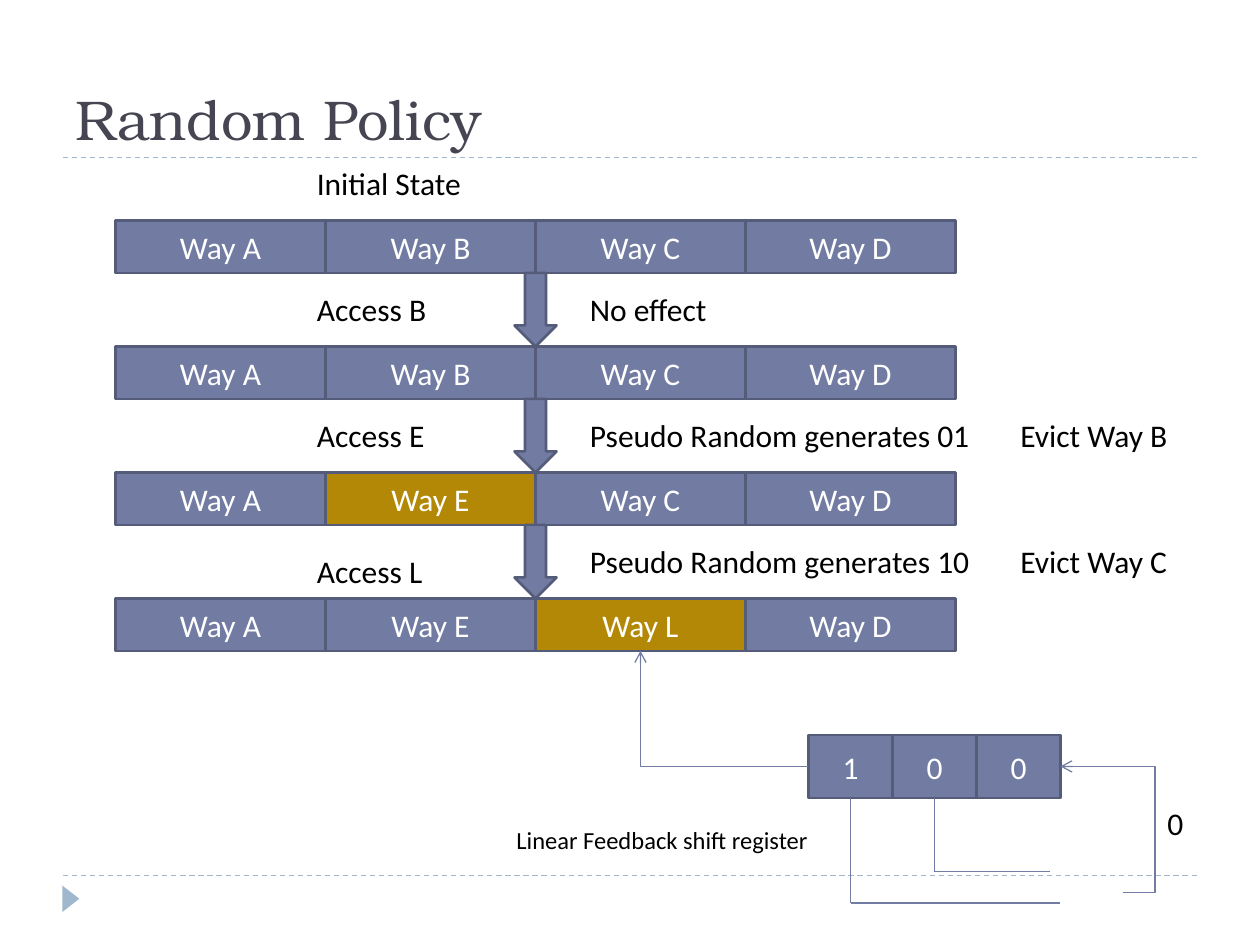
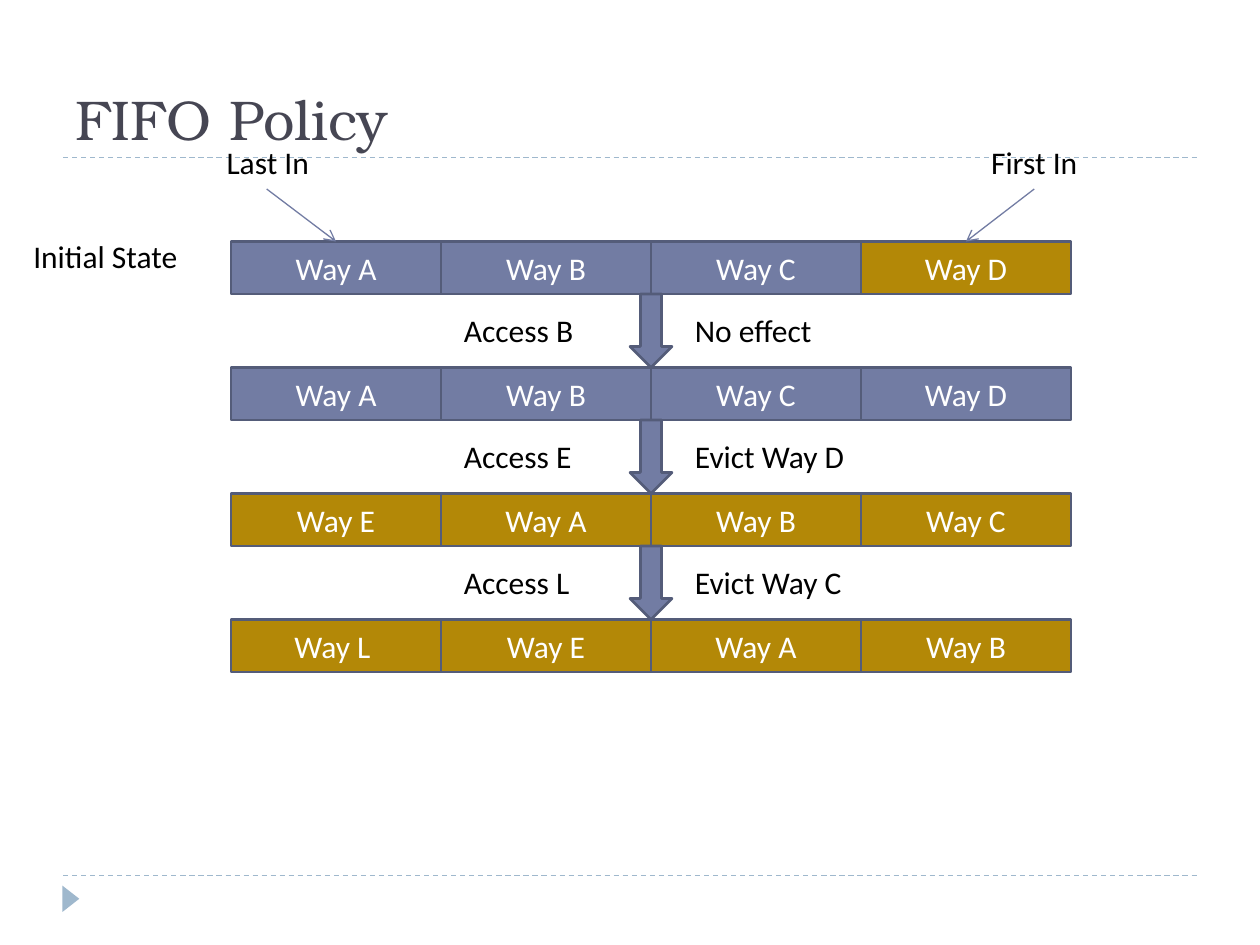
"""Build two slides that compare cache replacement policies."""
import pptx
import pptx.dml.color
import pptx.enum.dml
import pptx.enum.shapes
import pptx.enum.text
import pptx.oxml
import pptx.oxml.ns
import pptx.util

SHAPE = pptx.enum.shapes.MSO_SHAPE
CONNECTOR = pptx.enum.shapes.MSO_CONNECTOR
ALIGN = pptx.enum.text.PP_ALIGN
ANCHOR = pptx.enum.text.MSO_ANCHOR
TOP, LEFT, BOTTOM, RIGHT = range(4)
COLUMNS, ROWS = 120, 90
WAY_W, WAY_H, STEP, ARROW_W = 20, 5, 12, 4


def rgb(value):
    return pptx.dml.color.RGBColor.from_string(value)


def add_xml(parent, tag, **attributes):
    child = pptx.oxml.parse_xml(f"<a:{tag} {pptx.oxml.ns.nsdecls('a')}/>")
    for name, value in attributes.items():
        child.set(name, value)
    parent.append(child)


class Deck:
    blue, edge, gold, pale = "727CA3", "545C79", "B38807", "9FB8CD"
    title_font = {"name": "TeX Gyre Bonum", "size": 32, "color": "464653"}
    label_font = {"name": "Calibri", "size": 18, "color": "000000"}
    cell_font = {**label_font, "color": "FFFFFF"}

    def __init__(self):
        self.prs = pptx.Presentation()
        self.prs.slide_width = pptx.util.Inches(10)
        self.prs.slide_height = pptx.util.Inches(7.5)
        self.s = None

    def grid(self, *lengths):
        units = (self.prs.slide_width / COLUMNS, self.prs.slide_height / ROWS)
        return [round(n * units[i % 2]) for i, n in enumerate(lengths)]

    def slide(self, title):
        self.s = self.prs.slides.add_slide(self.prs.slide_layouts[6])
        for row in (83.4, 15):
            rule = self.line(6, row, 114, row, color=self.pale)
            rule.line.dash_style = pptx.enum.dml.MSO_LINE.DASH
        marker = self.shape(SHAPE.ISOSCELES_TRIANGLE, 5.5, 84.8, 2.5, 1.6, self.pale, None)
        marker.rotation = 90
        tf = self.label(title, 6, 2, 108, 13, self.title_font).text_frame
        tf.auto_size = pptx.enum.text.MSO_AUTO_SIZE.NONE
        tf.vertical_anchor = ANCHOR.BOTTOM

    def fill_text(self, tf, text, font, align):
        tf.word_wrap = True
        p = tf.paragraphs[0]
        p.alignment = align
        r = p.add_run()
        r.text = text
        formats = {"name": font["name"], "size": pptx.util.Pt(font["size"])}
        for name, value in formats.items():
            setattr(r.font, name, value)
        r.font.color.rgb = rgb(font["color"])

    def label(self, text, x, y, w=18, h=4.8, font=label_font, align=ALIGN.LEFT):
        box = self.s.shapes.add_textbox(*self.grid(x, y, w, h))
        box.text_frame.auto_size = pptx.enum.text.MSO_AUTO_SIZE.SHAPE_TO_FIT_TEXT
        self.fill_text(box.text_frame, text, font, align)
        return box

    def shape(self, kind, x, y, w, h, fill=blue, edge=edge):
        sp = self.s.shapes.add_shape(kind, *self.grid(x, y, w, h))
        sp.shadow.inherit = False
        sp.fill.solid()
        sp.fill.fore_color.rgb = rgb(fill)
        if edge:
            sp.line.color.rgb = rgb(edge)
            sp.line.width = pptx.util.Pt(1.5)
        else:
            sp.line.fill.background()
        return sp

    def cell(self, text, x, y, w, h, fill=blue):
        sp = self.shape(SHAPE.RECTANGLE, x, y, w, h, fill)
        sp.text_frame.vertical_anchor = ANCHOR.MIDDLE
        self.fill_text(sp.text_frame, text, self.cell_font, ALIGN.CENTER)
        return sp

    def line(self, x1, y1, x2, y2, begin=None, end=None, arrow=False,
             kind=CONNECTOR.STRAIGHT, color=blue):
        c = self.s.shapes.add_connector(kind, *self.grid(x1, y1, x2, y2))
        c.line.color.rgb = rgb(color)
        c.line.width = pptx.util.Pt(0.75)
        if begin:
            c.begin_connect(*begin)
        if end:
            c.end_connect(*end)
        properties = c.element.spPr
        if arrow:
            add_xml(properties.find(pptx.oxml.ns.qn("a:ln")), "tailEnd", type="arrow")
        add_xml(properties, "effectLst")
        return c

    def elbow(self, *points, preset="bentConnector3", bend=None, **ends):
        c = self.line(*points, arrow=True, kind=CONNECTOR.ELBOW, **ends)
        geometry = c.element.spPr.find(pptx.oxml.ns.qn("a:prstGeom"))
        geometry.set("prst", preset)
        if bend is not None:
            guides = geometry.find(pptx.oxml.ns.qn("a:avLst"))
            add_xml(guides, "gd", name="adj1", fmla=f"val {bend}")

    def states(self, x, y, rows, gold):
        cells = [[self.cell(f"Way {way}", x + j * WAY_W, y + i * STEP, WAY_W, WAY_H,
                            self.gold if (i, j) in gold else self.blue)
                  for j, way in enumerate(ways)] for i, ways in enumerate(rows)]
        arrow_x = x + 2 * WAY_W - ARROW_W / 2
        for i in range(len(rows) - 1):
            self.shape(SHAPE.DOWN_ARROW, arrow_x, y + i * STEP + WAY_H, ARROW_W, STEP - WAY_H)
        return cells


def random_policy(deck):
    deck.slide("Random Policy")
    ways = deck.states(11, 21, ["ABCD", "ABCD", "AECD", "AELD"], {(2, 1), (3, 2)})
    labels = [("Initial State", 15), ("Access B", 27), ("Access E", 39), ("Access L", 52)]
    for text, y in labels:
        deck.label(text, 29, y)
    deck.label("No effect", 55, 27)
    for y, bits, way in ((39, "01", "B"), (51, "10", "C")):
        deck.label(f"Pseudo Random generates {bits}", 55, y, 40)
        deck.label(f"Evict Way {way}", 96, y)

    bits = [deck.cell(bit, 77 + 8 * i, 70, 8, 6) for i, bit in enumerate("100")]
    for bit, x, y, end_x in ((bits[0], 81, 86, 101), (bits[1], 89, 83, 100)):
        deck.line(x, 76, x, y, begin=(bit, BOTTOM))
        deck.line(x, y, end_x, y)
    deck.elbow(107, 85, 101, 73, bend=-50000, end=(bits[2], RIGHT))
    deck.elbow(77, 73, 61, 62, preset="bentConnector2",
               begin=(bits[0], LEFT), end=(ways[3][2], BOTTOM))
    deck.label("Linear Feedback shift register", 48, 78, 31, 4, {**deck.label_font, "size": 14})
    deck.label("0", 110, 76, 3)


def fifo_policy(deck):
    deck.slide("FIFO Policy")
    gold = {(0, 3)} | {(i, j) for i in (2, 3) for j in range(4)}
    ways = deck.states(22, 23, ["ABCD", "ABCD", "EABC", ["L ", "E", "A", "B"]], gold)
    deck.label("Initial State", 2, 22)
    steps = [("Access B", "No effect"), ("Access E", "Evict Way D"), ("Access L", "Evict Way C")]
    for i, (access, effect) in enumerate(steps):
        deck.label(access, 43, 29 + i * STEP)
        deck.label(effect, 65, 29 + i * STEP, 21)
    ends = [("Last In", 16, 25.4, 32, ways[0][0]), ("First In", 89, 98.5, 92, ways[0][3])]
    for text, x, start, target, way in ends:
        deck.label(text, x, 13, 19, align=ALIGN.CENTER)
        deck.line(start, 18, target, 23, end=(way, TOP), arrow=True)


def main():
    deck = Deck()
    random_policy(deck)
    fifo_policy(deck)
    deck.prs.save("out.pptx")


if __name__ == "__main__":
    main()
